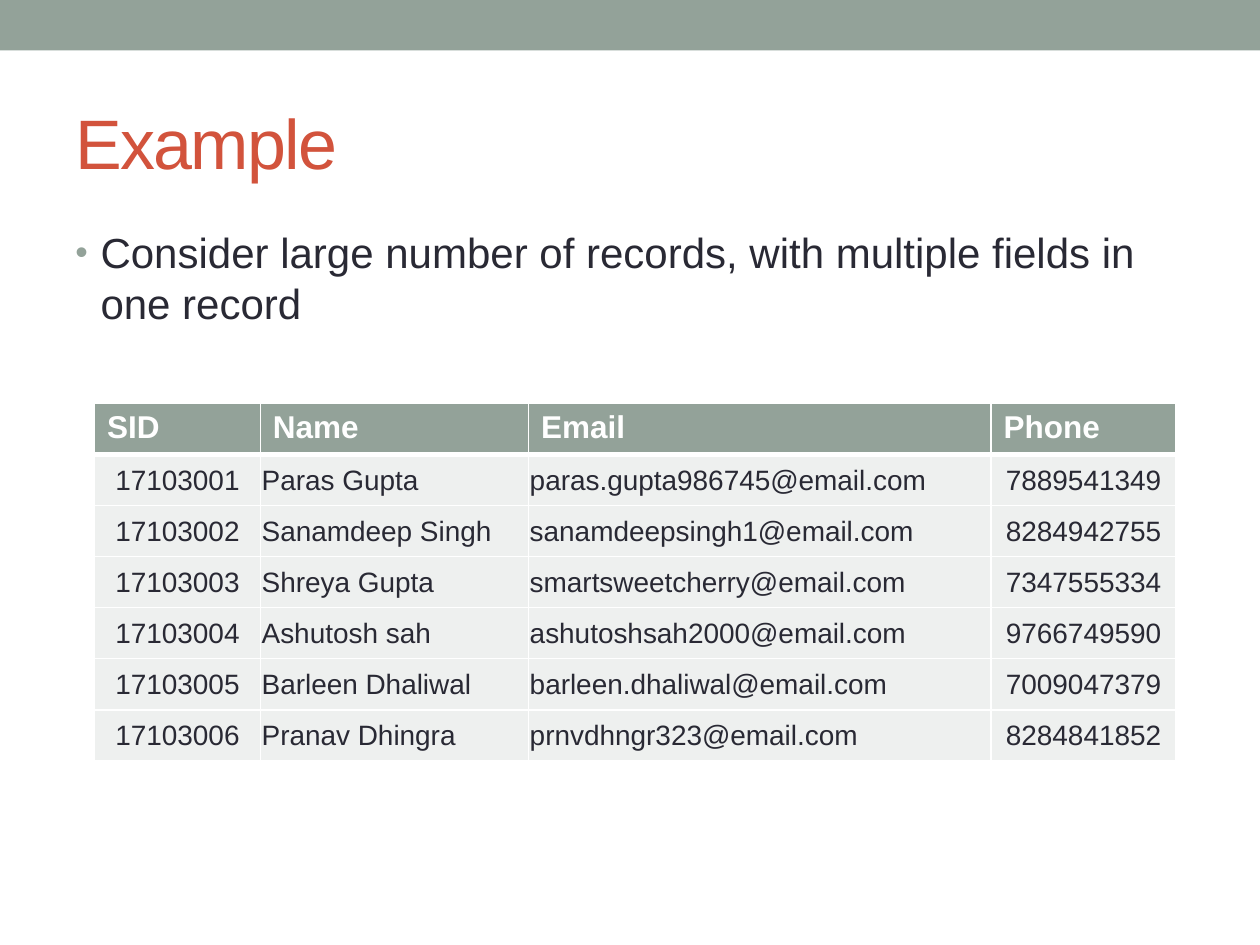
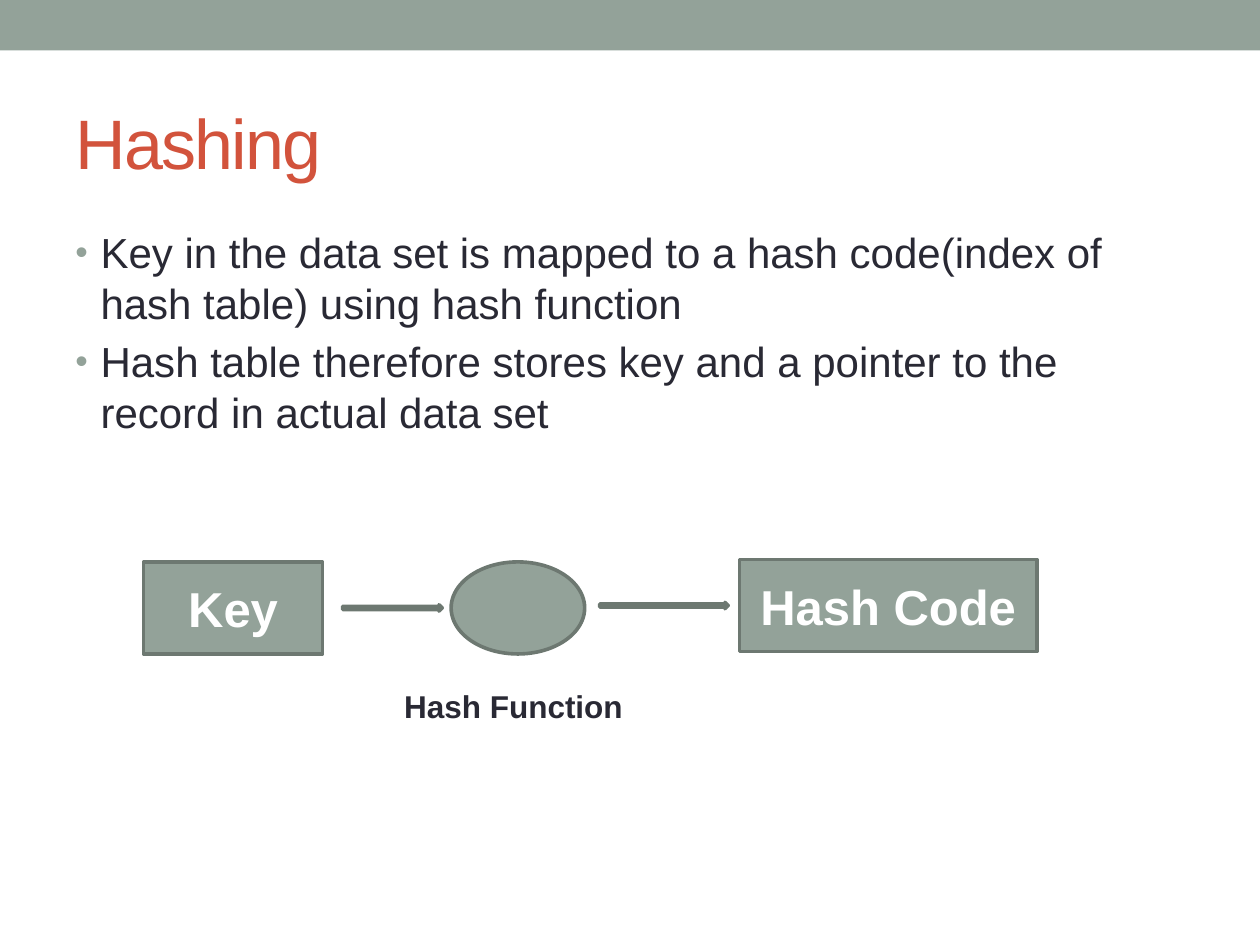
import pptx
import pptx.util
import pptx.dml.color
import pptx.enum.shapes
import pptx.enum.text
import pptx.oxml.ns
from lxml import etree

Pt = pptx.util.Pt
RGBColor = pptx.dml.color.RGBColor
MSO_SHAPE = pptx.enum.shapes.MSO_SHAPE
PP_ALIGN = pptx.enum.text.PP_ALIGN
MSO_ANCHOR = pptx.enum.text.MSO_ANCHOR
MSO_AUTO_SIZE = pptx.enum.text.MSO_AUTO_SIZE
qn = pptx.oxml.ns.qn

SAGE = RGBColor(0x93, 0xA2, 0x99)
DARK_SAGE = RGBColor(0x6D, 0x78, 0x71)
PALE_SAGE = RGBColor(0xEE, 0xF0, 0xEF)
RUST = RGBColor(0xD2, 0x53, 0x3C)
INK = RGBColor(0x29, 0x29, 0x34)
WHITE = RGBColor(0xFF, 0xFF, 0xFF)


def write_text(paragraph, text, size=18, color=INK, bold=False, align=PP_ALIGN.LEFT, tracking=None):
    paragraph.alignment = align
    run = paragraph.add_run()
    run.text = text
    run.font.name = "Arial"
    run.font.size = Pt(size)
    run.font.bold = bold
    run.font.color.rgb = color
    if tracking is not None:
        run.font._element.set("spc", str(tracking * 100))


def add_bullet(paragraph):
    properties = paragraph._p.get_or_add_pPr()
    indent = Pt(14.4)
    properties.set("marL", str(indent))
    properties.set("indent", str(-indent))
    color = etree.SubElement(properties, qn("a:buClr"))
    etree.SubElement(color, qn("a:srgbClr"), val=str(SAGE))
    etree.SubElement(properties, qn("a:buSzPct"), val="85000")
    etree.SubElement(properties, qn("a:buFont"), typeface="Arial")
    etree.SubElement(properties, qn("a:buChar"), char="\u2022")


def add_borders(cell, **widths):
    properties = cell._tc.get_or_add_tcPr()
    for position, side in enumerate("LRTB"):
        line = etree.Element(qn("a:ln" + side), w=str(Pt(widths.get(side, 1))))
        fill = etree.SubElement(line, qn("a:solidFill"))
        etree.SubElement(fill, qn("a:srgbClr"), val=str(WHITE))
        properties.insert(position, line)


class Deck:
    def __init__(self):
        self.presentation = pptx.Presentation()
        self.presentation.slide_width = Pt(720)
        self.presentation.slide_height = Pt(540)
        self.slide = None

    def start_slide(self, title):
        self.slide = self.presentation.slides.add_slide(self.presentation.slide_layouts[5])
        self.shape(MSO_SHAPE.RECTANGLE, 0, 0, 720, 28.8)
        shape = self.slide.shapes.title
        shape.left, shape.top, shape.width, shape.height = Pt(36), Pt(42), Pt(648), Pt(78)
        frame = shape.text_frame
        frame.auto_size = MSO_AUTO_SIZE.NONE
        frame.vertical_anchor = MSO_ANCHOR.MIDDLE
        write_text(frame.paragraphs[0], title, size=40, color=RUST, tracking=-1)

    def bullets(self, *lines):
        shape = self.slide.shapes.add_textbox(Pt(36), Pt(126), Pt(648), Pt(384))
        frame = shape.text_frame
        frame.word_wrap = True
        for index, line in enumerate(lines):
            paragraph = frame.add_paragraph() if index else frame.paragraphs[0]
            paragraph.space_before = Pt(4.8)
            write_text(paragraph, line, size=24)
            add_bullet(paragraph)

    def shape(self, kind, left, top, width, height, line=None, text=None):
        shape = self.slide.shapes.add_shape(kind, Pt(left), Pt(top), Pt(width), Pt(height))
        shape.shadow.inherit = False
        shape.fill.solid()
        shape.fill.fore_color.rgb = SAGE
        if line is None:
            shape.line.fill.background()
        else:
            shape.line.color.rgb = line
            shape.line.width = Pt(2.08)
        if text:
            shape.text_frame.vertical_anchor = MSO_ANCHOR.MIDDLE
            write_text(shape.text_frame.paragraphs[0], text, size=28, color=WHITE,
                       bold=True, align=PP_ALIGN.CENTER)

    def label(self, left, top, width, height, text):
        shape = self.slide.shapes.add_textbox(Pt(left), Pt(top), Pt(width), Pt(height))
        shape.text_frame.auto_size = MSO_AUTO_SIZE.SHAPE_TO_FIT_TEXT
        shape.text_frame.word_wrap = False
        write_text(shape.text_frame.paragraphs[0], text, bold=True)

    def table(self, left, top, column_widths, row_height, header, records):
        rows = [header, *records]
        table = self.slide.shapes.add_table(
            len(rows), len(header), Pt(left), Pt(top),
            Pt(sum(column_widths)), Pt(row_height * len(rows))).table
        for column, width in zip(table.columns, column_widths):
            column.width = Pt(width)
        for row_index, values in enumerate(rows):
            table.rows[row_index].height = Pt(row_height)
            for column_index, value in enumerate(values):
                cell = table.cell(row_index, column_index)
                cell.fill.solid()
                paragraph = cell.text_frame.paragraphs[0]
                if row_index == 0:
                    cell.fill.fore_color.rgb = SAGE
                    write_text(paragraph, value, color=WHITE, bold=True)
                    add_borders(cell, B=3)
                else:
                    cell.fill.fore_color.rgb = PALE_SAGE
                    cell.vertical_anchor = MSO_ANCHOR.MIDDLE
                    cell.margin_left = cell.margin_right = cell.margin_top = Pt(0.75)
                    cell.margin_bottom = Pt(0)
                    align = PP_ALIGN.CENTER if value.isdigit() else PP_ALIGN.LEFT
                    write_text(paragraph, value, size=16, align=align)
                    add_borders(cell, T=3 if row_index == 1 else 1)


deck = Deck()

deck.start_slide("Example")
deck.bullets("Consider large number of records, with multiple fields in one record")
people = [
    ("Paras Gupta", "paras.gupta986745", "7889541349"),
    ("Sanamdeep Singh", "sanamdeepsingh1", "8284942755"),
    ("Shreya Gupta", "smartsweetcherry", "7347555334"),
    ("Ashutosh sah", "ashutoshsah2000", "9766749590"),
    ("Barleen Dhaliwal", "barleen.dhaliwal", "7009047379"),
    ("Pranav Dhingra", "prnvdhngr323", "8284841852"),
]
records = [(str(sid), name, user + "@email.com", phone)
           for sid, (name, user, phone) in enumerate(people, start=17103001)]
deck.table(54, 230.4, (94.8, 153.2, 264.4, 105.6), 29.2,
           ("SID", "Name", "Email", "Phone"), records)

deck.start_slide("Hashing")
deck.bullets(
    "Key in the data set is mapped to a hash code(index of hash table) using hash function",
    "Hash table therefore stores key and a pointer to the record in actual data set")
for kind, left, top, width, height, text in (
        (MSO_SHAPE.RECTANGLE, 82.1, 321.1, 102.2, 52.6, "Key"),
        (MSO_SHAPE.OVAL, 257.8, 321.1, 76.3, 52.6, None),
        (MSO_SHAPE.RECTANGLE, 422.6, 319.7, 169.9, 52.6, "Hash Code"),
        (MSO_SHAPE.RIGHT_ARROW, 195.8, 345.6, 56.9, 3.6, None),
        (MSO_SHAPE.RIGHT_ARROW, 342.7, 344.2, 73.4, 3.6, None)):
    deck.shape(kind, left, top, width, height, line=DARK_SAGE, text=text)
deck.label(223.9, 388.8, 141.8, 28.8, "Hash Function")

deck.presentation.save("out.pptx")
